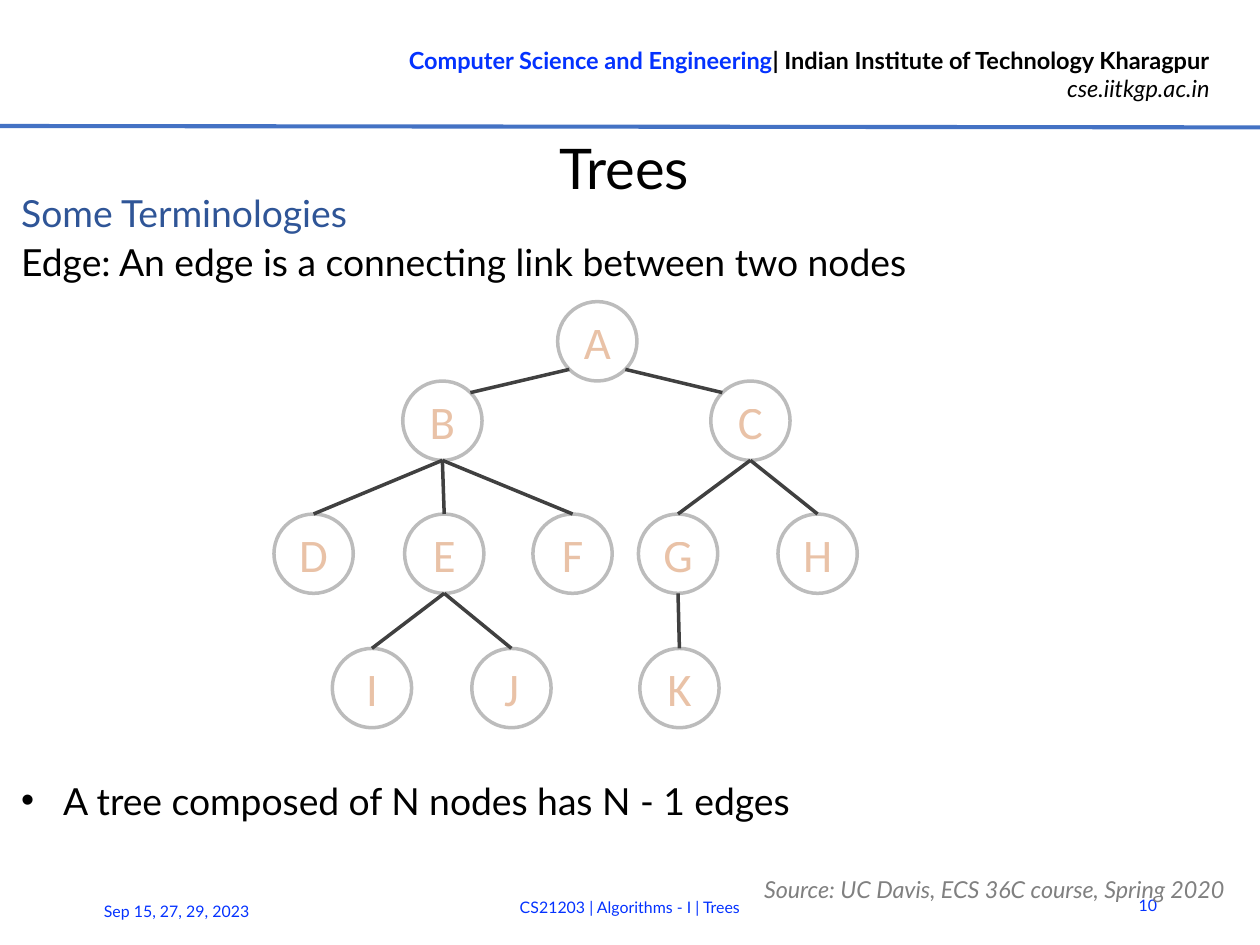
from math import sqrt

from lxml import etree
from pptx import Presentation
from pptx.dml.color import RGBColor
from pptx.enum import shapes, text
from pptx.oxml.ns import qn
from pptx.util import Pt

LEFT, MID, RIGHT = text.PP_ALIGN.LEFT, text.PP_ALIGN.CENTER, text.PP_ALIGN.RIGHT

HEADER = [
    [("Computer Science and Engineering", dict(color="blue", bold=True)),
     ("| Indian Institute of Technology Kharagpur", dict(bold=True))],
    [("cse.iitkgp.ac.in", dict(italic=True))],
]
TITLE = "Trees"
INTRO = [
    [("Some Terminologies", dict(color="navy"))],
    "Edge: An edge is a connecting link between two nodes",
]
FACT = ["A tree composed of N nodes has N - 1 edges"]
SOURCE = "Source: UC Davis, ECS 36C course, Spring 2020"
DATE, COURSE, PAGE = "Sep 15, 27, 29, 2023", "CS21203 | Algorithms - I | Trees", "10"

# Tree levels from the root down: centre height, then centre x of each node
LEVELS = [
    (146.3, {"A": 256}),
    (180.3, {"B": 189.6, "C": 321.6}),
    (237.3, {"D": 134.4, "E": 190.4, "F": 245.4, "G": 290.6, "H": 350.4}),
    (294.9, {"I": 159.4, "J": 219.2, "K": 291.2}),
]
CHILDREN = {"A": "BC", "B": "DEF", "C": "GH", "E": "IJ", "G": "K"}
ROOT = "A"


class Theme:
    font, node_font = "Lato", "Calibri"
    colors = dict(black="000000", blue="0432FF", navy="2F5597", gray="808080",
                  rule="4472C4", edge="404040", node="C55A11")
    title, body, node, head, source, foot = 24, 16, 20, 10.1, 10, 6.8
    rule_width, edge_width = 1.75, 1.5
    ring_alpha, node_alpha = 34, 36
    diameter = 34


def rgb(name):
    return RGBColor.from_string(Theme.colors[name])


def fade(element, percent):
    """Make the solid colour inside an element partly transparent."""
    color = next(element.iter(qn("a:srgbClr")))
    etree.SubElement(color, qn("a:alpha"), val=str(percent * 1000))


def write(frame, lines, size, color="black", font=Theme.font, align=LEFT,
          anchor=text.MSO_ANCHOR.TOP, inset=(7.2, 3.6), wrap=True, italic=False,
          line=None, gap=0, bullet=None, alpha=None):
    """Fill a text frame; each line is a string or a list of (words, format) runs."""
    frame.word_wrap, frame.vertical_anchor = wrap, anchor
    frame.margin_left = frame.margin_right = Pt(inset[0])
    frame.margin_top = frame.margin_bottom = Pt(inset[1])
    for i, runs in enumerate(lines):
        para = frame.add_paragraph() if i else frame.paragraphs[0]
        para.alignment = align
        if bullet:
            props = para._p.get_or_add_pPr()
            props.set("marL", str(Pt(bullet)))
            props.set("indent", str(-Pt(bullet)))
            etree.SubElement(props, qn("a:buFont"), typeface="Arial")
            etree.SubElement(props, qn("a:buChar"), char="•")
        if line:
            para.line_spacing = Pt(line)
        if i and gap:
            para.space_before = Pt(gap)
        for words, look in [(runs, {})] if isinstance(runs, str) else runs:
            run = para.add_run()
            run.text = words
            run.font.name, run.font.size = font, Pt(size)
            run.font.bold = look.get("bold", False)
            run.font.italic = look.get("italic", italic)
            run.font.color.rgb = rgb(look.get("color", color))
            if alpha:
                fade(run._r, alpha)


def box(slide, at, lines, size, **look):
    frame = slide.shapes.add_textbox(*map(Pt, at)).text_frame
    write(frame, lines, size, **look)


def link(slide, start, end, color, width):
    line = slide.shapes.add_connector(
        shapes.MSO_CONNECTOR.STRAIGHT, *map(Pt, (*start, *end)))
    line.line.color.rgb, line.line.width = rgb(color), Pt(width)
    etree.SubElement(line._element.spPr, qn("a:effectLst"))
    return line


def node(slide, name, x, y):
    size = Theme.diameter
    ring = slide.shapes.add_shape(
        shapes.MSO_SHAPE.OVAL, *map(Pt, (x - size / 2, y - size / 2, size, size)))
    ring.shadow.inherit = False
    ring.fill.background()
    ring.line.color.rgb, ring.line.width = rgb("edge"), Pt(Theme.edge_width)
    fade(ring.line._ln, Theme.ring_alpha)
    write(ring.text_frame, [name], Theme.node, color="node", font=Theme.node_font,
          align=MID, anchor=text.MSO_ANCHOR.MIDDLE, inset=(0, 0), wrap=False,
          alpha=Theme.node_alpha)
    return ring


def tree(slide):
    spots = {name: (x, y) for y, row in LEVELS for name, x in row.items()}
    rings = {name: node(slide, name, *spot) for name, spot in spots.items()}
    radius = Theme.diameter / 2
    slant = radius / sqrt(2)
    for parent, kids in CHILDREN.items():
        px, py = spots[parent]
        for kid in kids:
            kx, ky = spots[kid]
            if parent == ROOT:
                dx = slant if kx > px else -slant
                start, end = (px + dx, py + slant), (kx - dx, ky - slant)
            else:
                start, end = (px, py + radius), (kx, ky - radius)
            edge = link(slide, start, end, "edge", Theme.edge_width)
            if parent != ROOT:
                edge.end_connect(rings[kid], 0)


def main():
    deck = Presentation()
    deck.slide_width, deck.slide_height = Pt(540), Pt(405)
    slide = deck.slides.add_slide(deck.slide_layouts[6])
    middle = text.MSO_ANCHOR.MIDDLE
    body = dict(line=17, gap=4)
    foot = dict(size=Theme.foot, color="blue", anchor=middle)

    box(slide, (137.5, 16, 388, 32), HEADER, Theme.head, align=RIGHT)
    link(slide, (0, 54), (540, 54.6), "rule", Theme.rule_width)
    box(slide, (2, 80, 531, 46), INTRO, Theme.body, **body)
    box(slide, (2, 332, 531, 25), FACT, Theme.body, bullet=18, **body)
    box(slide, (17.5, 57, 500, 29.5), [TITLE], Theme.title, align=MID,
        anchor=middle, inset=(0, 0))
    box(slide, (476.5, 377.3, 26.5, 21.6), [PAGE], align=RIGHT, **foot)
    box(slide, (37.4, 379.7, 94.3, 21.6), [DATE], **foot)
    box(slide, (89.3, 378, 361.4, 21.6), [COURSE], align=MID, **foot)
    box(slide, (320.4, 372.2, 217.4, 12.2), [SOURCE], Theme.source, color="gray",
        italic=True, anchor=middle, line=18)
    tree(slide)
    deck.save("out.pptx")


if __name__ == "__main__":
    main()
